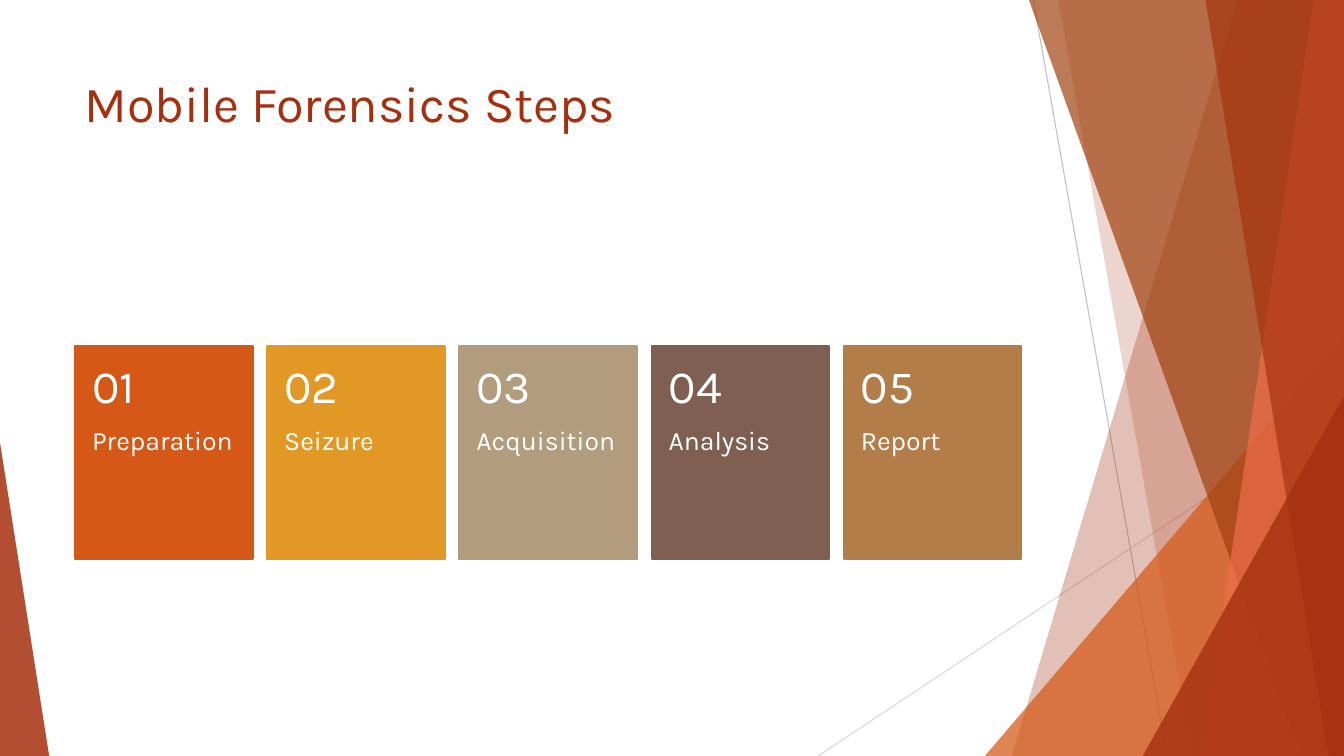
from lxml import etree
from pptx import Presentation
from pptx.dml.color import RGBColor
from pptx.enum import shapes, text
from pptx.oxml.ns import qn
from pptx.util import Cm, Pt

WIDTH, HEIGHT = 33.87, 19.05
FONT = "Karla"

WHITE = RGBColor(0xFF, 0xFF, 0xFF)
RED = RGBColor(0xA5, 0x30, 0x0F)
ORANGE = RGBColor(0xD5, 0x58, 0x16)
AMBER = RGBColor(0xE1, 0x98, 0x25)
SAND = RGBColor(0xB1, 0x9C, 0x7D)
BROWN = RGBColor(0x7F, 0x5F, 0x52)
TAN = RGBColor(0xB2, 0x7D, 0x49)
RUST = RGBColor(0xA0, 0x42, 0x10)
CORAL = RGBColor(0xEE, 0x6E, 0x4A)
GREY = RGBColor(0xBF, 0xBF, 0xBF)
LIGHT_GREY = RGBColor(0xD9, 0xD9, 0xD9)

STEPS = [
    ("Preparation", ORANGE),
    ("Seizure", AMBER),
    ("Acquisition", SAND),
    ("Analysis", BROWN),
    ("Report", TAN),
]


def fill_shape(shape, color, opacity=100):
    """Fill a shape without outline or shadow; opacity is a percentage."""
    shape.shadow.inherit = False
    shape.line.fill.background()
    shape.fill.solid()
    shape.fill.fore_color.rgb = color
    if opacity < 100:
        color_element = shape._element.spPr.find(".//" + qn("a:srgbClr"))
        etree.SubElement(color_element, qn("a:alpha"), val=str(opacity * 1000))


def add_hairline(slide, start, end, color):
    points = [Cm(value) for value in (*start, *end)]
    line = slide.shapes.add_connector(shapes.MSO_CONNECTOR.STRAIGHT, *points)
    line.line.color.rgb = color
    line.line.width = Pt(0.75)
    etree.SubElement(line._element.spPr, qn("a:effectLst"))


def add_band(slide, top_x, bottom_x, color, opacity):
    """Add a full-height band between a slanted left edge and the right of the slide."""
    builder = slide.shapes.build_freeform(Cm(top_x), 0)
    corners = [(WIDTH, 0), (WIDTH, HEIGHT), (bottom_x, HEIGHT)]
    builder.add_line_segments([(Cm(x), Cm(y)) for x, y in corners], close=True)
    fill_shape(builder.convert_to_shape(), color, opacity)


def add_corner(slide, left, top, width, apex, color, opacity):
    """Add a triangle standing on the bottom edge; apex 0 is left, 1 is right."""
    triangle = slide.shapes.add_shape(
        shapes.MSO_SHAPE.ISOSCELES_TRIANGLE,
        Cm(left), Cm(top), Cm(width), Cm(HEIGHT - top))
    triangle.adjustments[0] = apex
    fill_shape(triangle, color, opacity)


def add_facets(slide):
    """Add the translucent slanted decoration at both sides of the slide."""
    add_hairline(slide, (26.04, 0), (29.41, HEIGHT), GREY)
    add_hairline(slide, (WIDTH, 10.24), (20.62, HEIGHT), LIGHT_GREY)
    add_band(slide, 31.19, 25.5, RED, 30)
    add_band(slide, 26.67, 30.05, RED, 20)
    add_corner(slide, 24.82, 8.46, WIDTH - 24.82, 1, ORANGE, 72)
    add_band(slide, 25.93, 32.79, RUST, 70)
    add_band(slide, 33.1, 30.28, CORAL, 70)
    add_band(slide, 30.38, 33.48, RED, 65)
    add_corner(slide, 28.8, 9.98, WIDTH - 28.8, 1, RED, 80)
    add_corner(slide, 0, 11.15, 1.24, 0, RED, 85)


def add_text(slide, box, words, size, color, insets, anchor=text.MSO_ANCHOR.TOP,
             line_spacing=1.0):
    frame = slide.shapes.add_textbox(*(Cm(value) for value in box)).text_frame
    frame.word_wrap = True
    frame.vertical_anchor = anchor
    frame.margin_left = frame.margin_right = Cm(insets[0])
    frame.margin_top, frame.margin_bottom = Cm(insets[1]), Cm(insets[2])
    frame.text = words
    paragraph = frame.paragraphs[0]
    paragraph.line_spacing = line_spacing
    font = paragraph.runs[0].font
    font.name = FONT
    font.size = Pt(size)
    font.color.rgb = color


def add_step(slide, box, number, label, color):
    left, top, width, height = box
    card = slide.shapes.add_shape(
        shapes.MSO_SHAPE.RECTANGLE, *(Cm(value) for value in box))
    fill_shape(card, color)
    card.line.color.rgb = color
    card.line.width = Pt(1.5)
    number_height = height * 0.4
    add_text(slide, (left, top + number_height, width, height - number_height),
             label, 19, WHITE, (0.43, 0, 0.91), line_spacing=0.9)
    add_text(slide, (left, top, width, number_height), f"{number:02}", 33, WHITE,
             (0.43, 0.46, 0.46), text.MSO_ANCHOR.MIDDLE, 0.9)


def add_steps(slide, box, gap):
    left, top, width, height = box
    card_width = (width - gap * (len(STEPS) - 1)) / len(STEPS)
    for index, (label, color) in enumerate(STEPS):
        card_box = (left + index * (card_width + gap), top, card_width, height)
        add_step(slide, card_box, index + 1, label, color)


def main():
    presentation = Presentation()
    presentation.slide_width, presentation.slide_height = Cm(WIDTH), Cm(HEIGHT)
    slide = presentation.slides.add_slide(presentation.slide_layouts[6])
    add_facets(slide)
    add_text(slide, (1.88, 1.7, 23.88, 3.66), "Mobile Forensics Steps", 36, RED,
             (0.25, 0.13, 0.13))
    add_steps(slide, (1.89, 8.71, 23.85, 5.38), 0.37)
    presentation.save("out.pptx")


if __name__ == "__main__":
    main()
